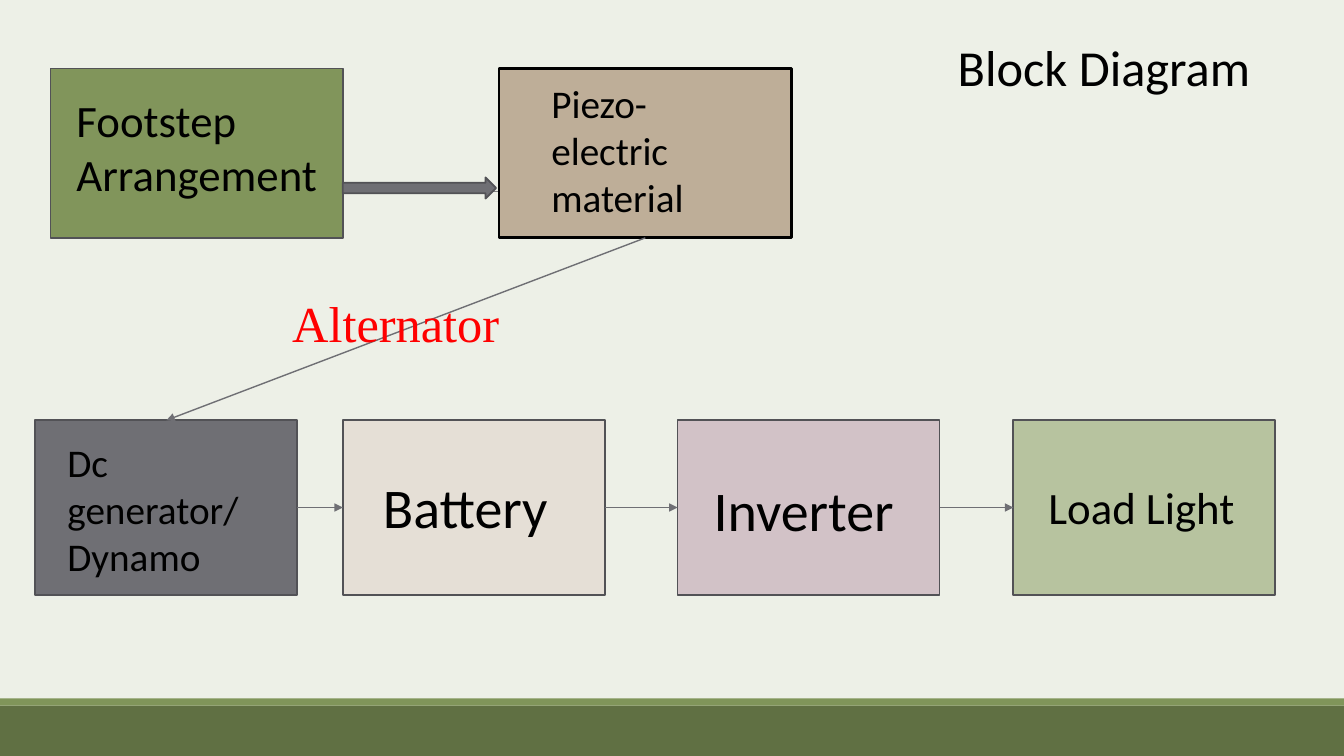
from lxml import etree
from pptx import Presentation, util as u
from pptx.dml.color import RGBColor
from pptx.enum import shapes, text
from pptx.oxml.ns import qn

WIDTH, HEIGHT = 13.33, 7.5
COLOURS = {
    "page": "EDF0E7", "band": "607043", "strip": "80955A", "rule": "808080",
    "footstep": "81955B", "piezo": "BEAE98", "grey": "6F6F74",
    "battery": "E5DFD6", "inverter": "D2C2C7", "load": "B7C39F",
    "edge": "525256", "black": "000000", "red": "FF0000",
}
TOP, LOWER = 2, 0  # connection sites of a rectangle
LEFT, RIGHT = 1, 3
UPPER_SIZE, LOWER_SIZE = (2.9, 1.68), (2.6, 1.73)
UPPER_TOP, LOWER_TOP = 0.68, 4.17

# name: left, fill, edge, edge width, label, label offset and size, font size
UPPER_BLOCKS = [
    (0.5, "footstep", "edge", 1.25, "Footstep \vArrangement", (0.16, 0.19, 3.35, 1.72), 32),
    (4.95, "piezo", "black", 2, "Piezo-electric material", (0.42, 0.06, 2.17, 1.51), 28),
]
LOWER_BLOCKS = [
    (0.35, "grey", "edge", 1.25, "Dc generator/Dynamo", (0.22, 0.13, 1.98, 1.51), 28),
    (3.4, "battery", "edge", 1.25, "Battery", (0.3, 0.47, 2.1, 0.77), 40),
    (6.72, "inverter", "edge", 1.25, "Inverter", (0.26, 0.5, 2.1, 0.77), 40),
    (10.05, "load", "edge", 1.25, "Load Light", (0.25, 0.54, 2.1, 0.64), 32),
]


def colour(name):
    return RGBColor.from_string(COLOURS[name])


def inches(values):
    return [u.Inches(value) for value in values]


def add_block(page, box, fill, edge=None, width=1.25, kind=shapes.MSO_SHAPE.RECTANGLE):
    block = page.shapes.add_shape(kind, *inches(box))
    block.shadow.inherit = False
    block.fill.solid()
    block.fill.fore_color.rgb = colour(fill)
    if edge:
        block.line.color.rgb = colour(edge)
        block.line.width = u.Pt(width)
    else:
        block.line.fill.background()
    return block


def add_label(page, box, words, size, font="Calibri", ink="black"):
    label = page.shapes.add_textbox(*inches(box))
    label.text_frame.word_wrap = True
    label.text_frame.vertical_anchor = text.MSO_ANCHOR.TOP
    para = label.text_frame.paragraphs[0]
    para.text = words
    for span in para.runs:
        for name, value in {"name": font, "size": u.Pt(size)}.items():
            setattr(span.font, name, value)
        span.font.color.rgb = colour(ink)


def add_line(page, ends=(0, 0, 0, 0), ink="grey", width=1):
    line = page.shapes.add_connector(shapes.MSO_CONNECTOR.STRAIGHT, *inches(ends))
    line.line.color.rgb = colour(ink)
    line.line.width = u.Pt(width)
    etree.SubElement(line._element.spPr, qn("a:effectLst"))
    return line


def add_arrow(page, start, start_site, end, end_site):
    """Join two blocks at the given connection sites."""
    arrow = add_line(page)
    arrow.begin_connect(start, start_site)
    arrow.end_connect(end, end_site)
    etree.SubElement(arrow.line._get_or_add_ln(), qn("a:tailEnd"), type="triangle")


def add_row(page, top, size, blocks):
    """Place one row of labelled blocks and return their shapes."""
    row = []
    for left, fill, edge, width, words, (dx, dy, w, h), points in blocks:
        row.append(add_block(page, (left, top, *size), fill, edge, width))
        add_label(page, (left + dx, top + dy, w, h), words, points)
    return row


def add_backdrop(page):
    page.background.fill.solid()
    page.background.fill.fore_color.rgb = colour("page")
    add_block(page, (0, 7, WIDTH, 0.5), "band")
    add_block(page, (0, 6.93, WIDTH, 0.07), "strip")


def add_diagram(page):
    add_line(page, (3.4, 1.9, 4.95, 1.9), "rule", 0.5)
    upper = add_row(page, UPPER_TOP, UPPER_SIZE, UPPER_BLOCKS)
    lower = add_row(page, LOWER_TOP, LOWER_SIZE, LOWER_BLOCKS)
    for start, end in zip(lower, lower[1:]):
        add_arrow(page, start, RIGHT, end, LEFT)
    add_arrow(page, upper[1], TOP, lower[0], LOWER)
    add_block(page, (3.4, 1.76, 1.52, 0.21), "grey", "edge",
              kind=shapes.MSO_SHAPE.RIGHT_ARROW)
    add_label(page, (2.8, 2.85, 3.05, 0.71), "Alternator", 36, "Times New Roman", "red")


def main():
    deck = Presentation()
    deck.slide_width, deck.slide_height = inches((WIDTH, HEIGHT))
    page = deck.slides.add_slide(deck.slide_layouts[6])
    add_backdrop(page)
    add_diagram(page)
    add_label(page, (9.4, 0.31, 3.38, 0.71), "Block Diagram", 36)
    deck.save("out.pptx")


if __name__ == "__main__":
    main()
